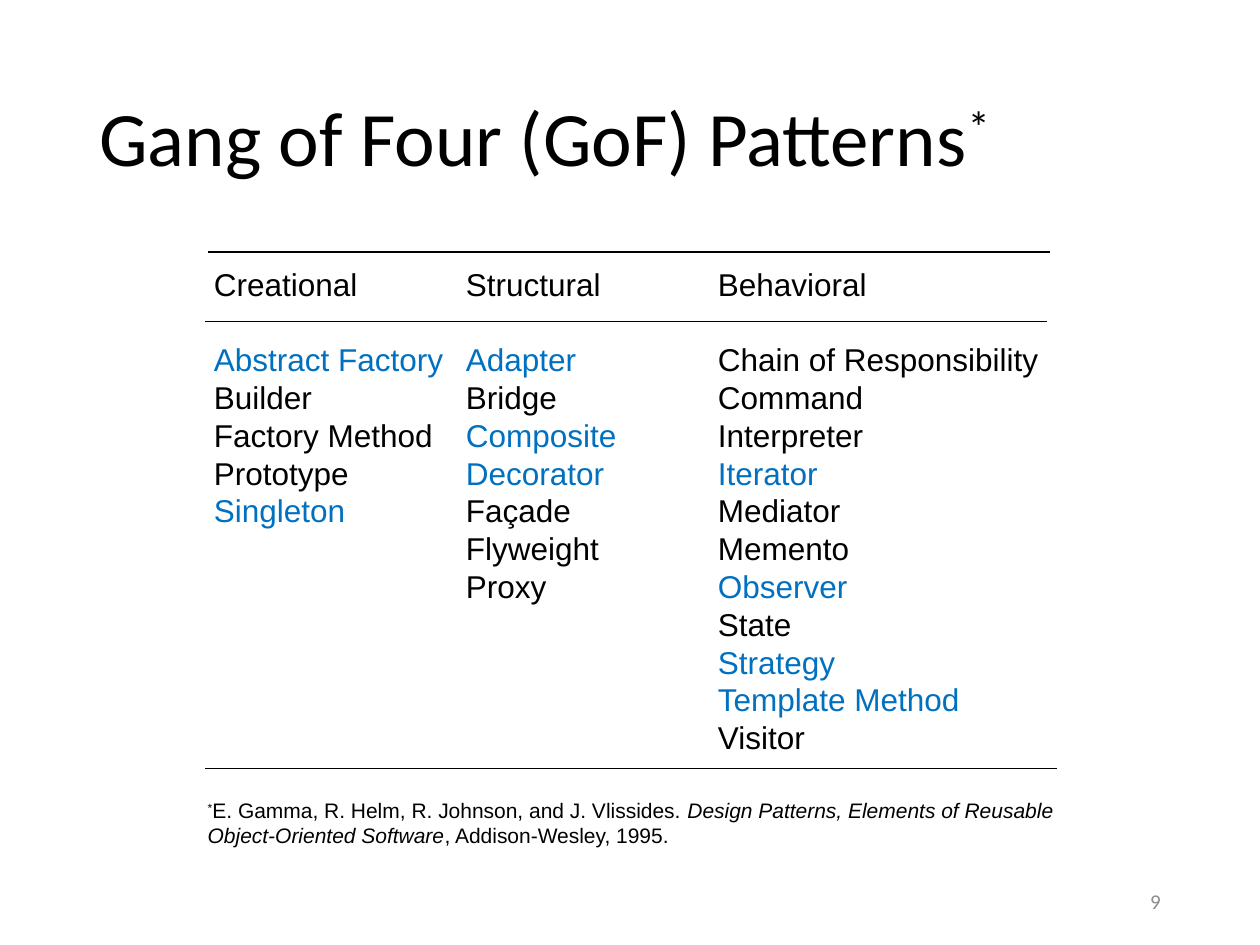
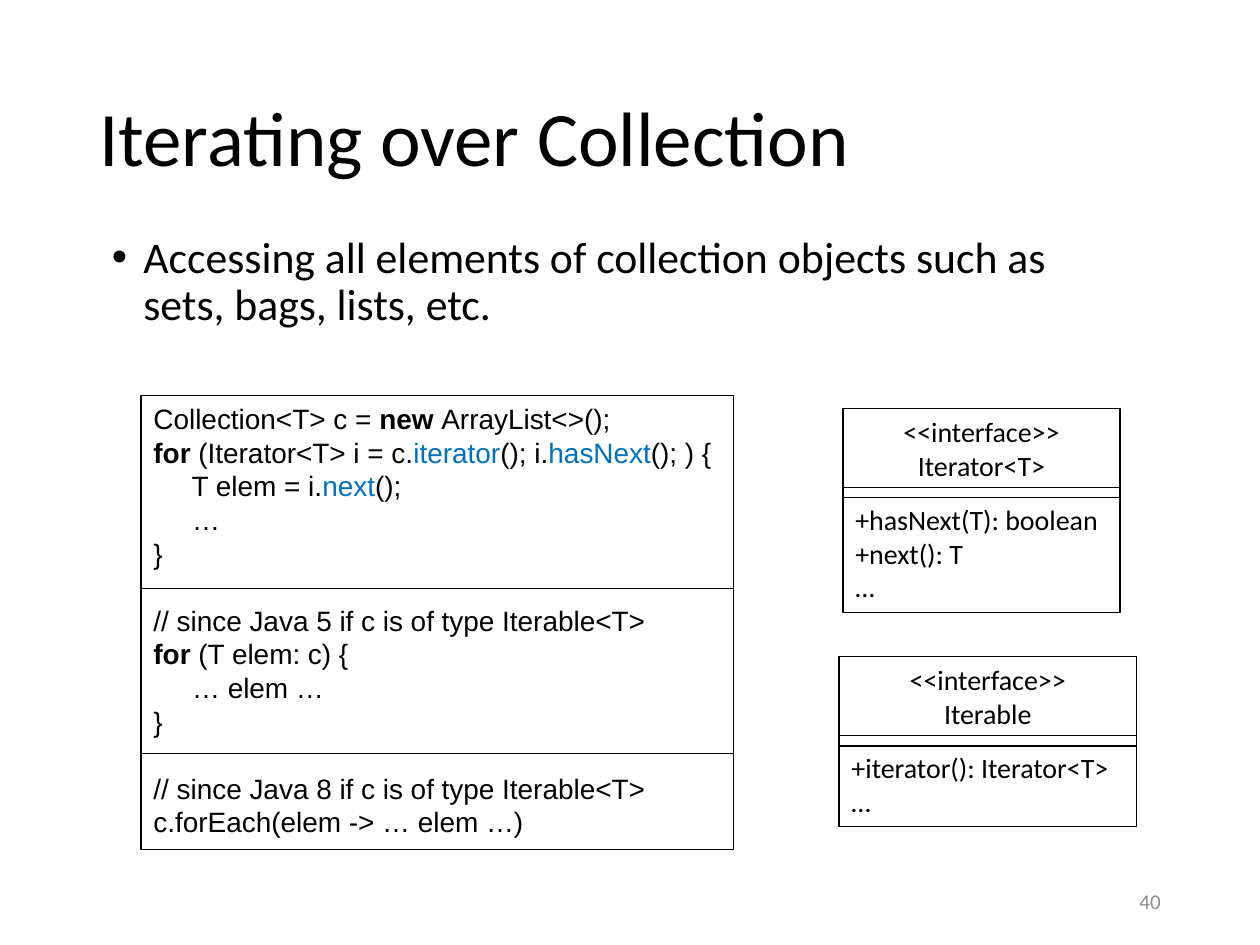
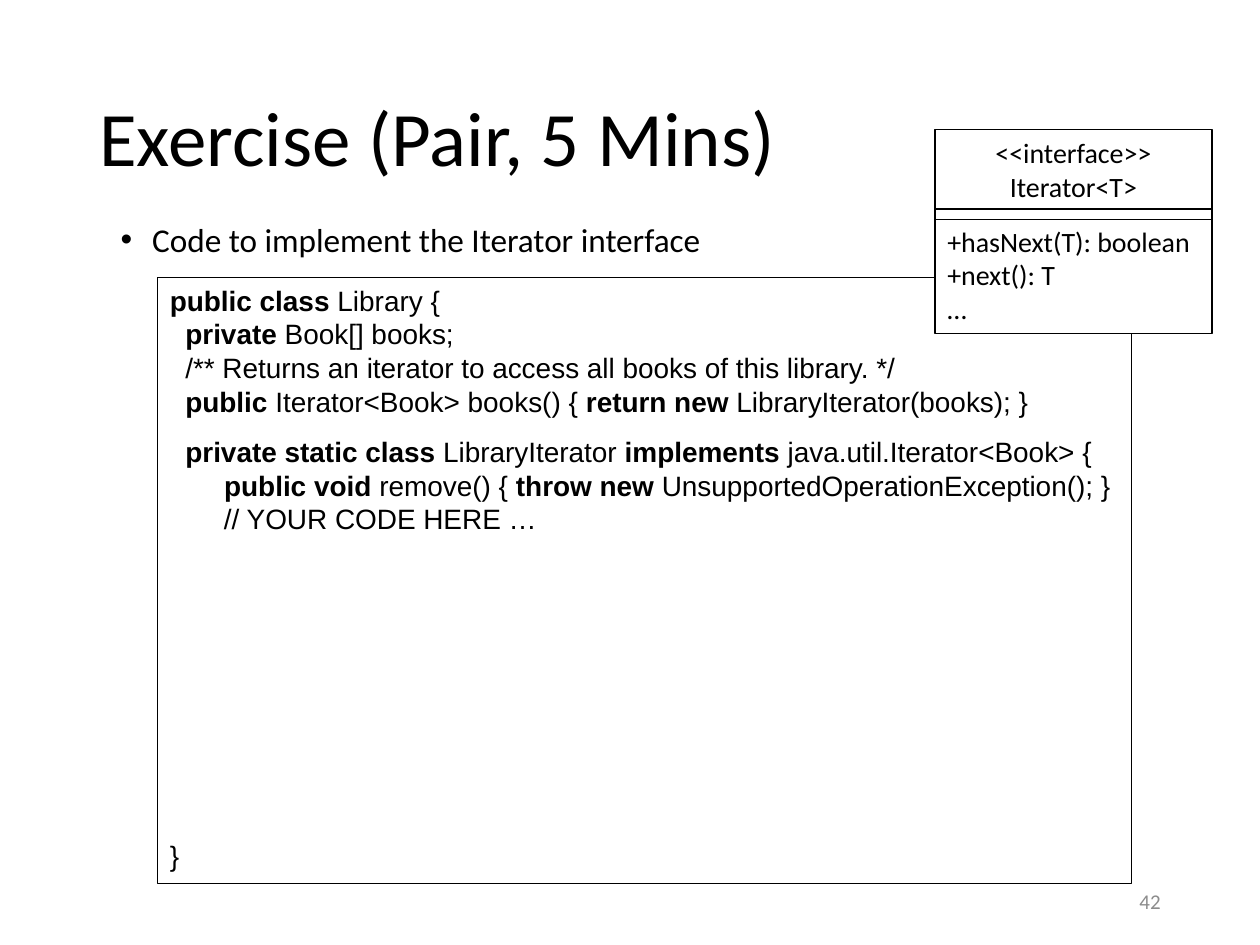
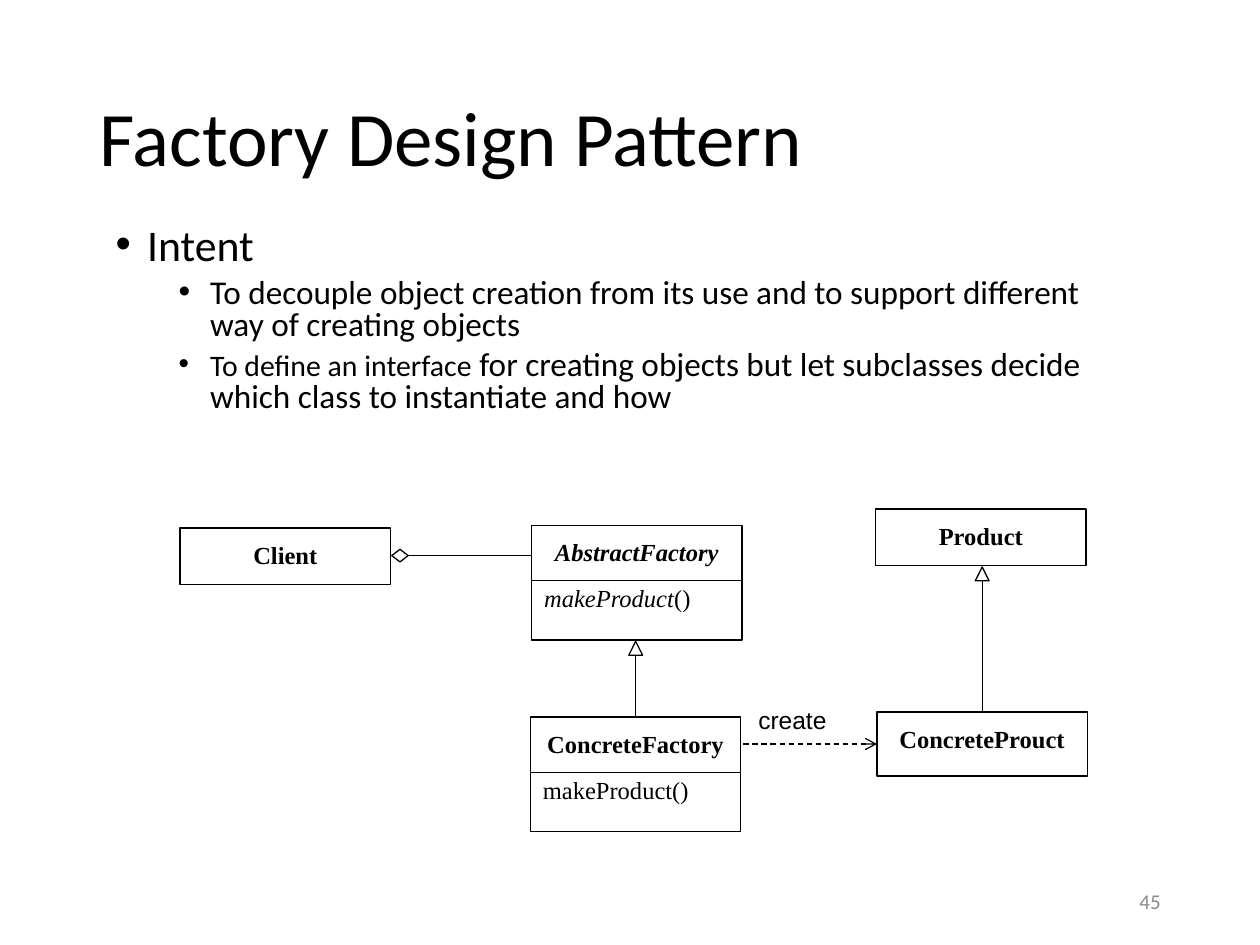
from dataclasses import dataclass

from lxml.etree import SubElement
from pptx import Presentation
from pptx.dml.color import RGBColor
from pptx.enum.dml import MSO_LINE
from pptx.enum.shapes import MSO_CONNECTOR, MSO_SHAPE
from pptx.enum.text import MSO_ANCHOR as Anchor, PP_ALIGN as Align
from pptx.oxml.ns import qn
from pptx.util import Inches, Pt

# The slide is a grid of 100 columns by 75 rows; every length below counts cells.
COLUMNS, ROWS = 100, 75
CELL = Inches(0.1)

BLACK, WHITE, BLUE, GREY = "000000", "FFFFFF", "0070C0", "8C8C8C"
HEADING, CODE, DIAGRAM = "Calibri", "Arial", "Times New Roman"
TOP, LEFT = 0, 1


@dataclass
class Span:
    """A stretch of text that differs from the rest of its paragraph."""
    text: str
    bold: bool = False
    italic: bool = False
    color: str = ""
    size: float = 0
    raised: bool = False


@dataclass
class Line:
    """One paragraph: strings and Spans, with its own layout."""
    spans: list
    size: float = 16
    font: str = CODE
    color: str = BLACK
    align: Align = Align.LEFT
    before: float = 0
    spacing: float = 0
    indent: float = 0
    tabs: tuple = ()


def bold(text):
    return Span(text, bold=True)


def blue(text):
    return Span(text, color=BLUE)


def cells(count):
    return round(count * CELL)


def rgb(color):
    return RGBColor.from_string(color)


def add_bullet(properties, indent):
    properties.set("marL", str(cells(indent)))
    properties.set("indent", str(-cells(2.5)))
    SubElement(properties, qn("a:buFont"), typeface="Arial")
    SubElement(properties, qn("a:buChar"), char="•")


def add_tabs(properties, stops):
    tab_list = SubElement(properties, qn("a:tabLst"))
    for stop in stops:
        SubElement(tab_list, qn("a:tab"), pos=str(cells(stop)), algn="l")


def add_span(paragraph, content):
    span = content if isinstance(content, Span) else Span(content)
    run = paragraph.add_run()
    run.text = span.text
    if span.bold:
        run.font.bold = True
    if span.italic:
        run.font.italic = True
    if span.color:
        run.font.color.rgb = rgb(span.color)
    if span.size:
        run.font.size = Pt(span.size)
    if span.raised:
        run._r.get_or_add_rPr().set("baseline", "30000")


def write(shape, lines, anchor=Anchor.TOP):
    frame = shape.text_frame
    frame.word_wrap = True
    frame.vertical_anchor = anchor
    for index, line in enumerate(lines):
        paragraph = frame.add_paragraph() if index else frame.paragraphs[0]
        if line.indent:
            add_bullet(paragraph._p.get_or_add_pPr(), line.indent)
        if line.tabs:
            add_tabs(paragraph._p.get_or_add_pPr(), line.tabs)
        paragraph.alignment = line.align
        if line.before:
            paragraph.space_before = Pt(line.before)
        if line.spacing:
            paragraph.line_spacing = line.spacing
        paragraph.font.name = line.font
        paragraph.font.size = Pt(line.size)
        paragraph.font.color.rgb = rgb(line.color)
        for content in line.spans:
            add_span(paragraph, content)


def add_text(shapes, left, top, width, height, lines, anchor=Anchor.TOP):
    write(shapes.add_textbox(*map(cells, (left, top, width, height))), lines, anchor)


def add_outline(shapes, left, top, width, height, kind=MSO_SHAPE.RECTANGLE, fill=None):
    outline = shapes.add_shape(kind, *map(cells, (left, top, width, height)))
    outline.shadow.inherit = False
    if fill:
        outline.fill.solid()
        outline.fill.fore_color.rgb = rgb(fill)
    else:
        outline.fill.background()
    outline.line.color.rgb = rgb(BLACK)
    outline.line.width = Pt(0.75)
    return outline


def add_rule(shapes, x1, y1, x2, y2, weight=0.75):
    rule = shapes.add_connector(MSO_CONNECTOR.STRAIGHT, *map(cells, (x1, y1, x2, y2)))
    rule.line.color.rgb = rgb(BLACK)
    rule.line.width = Pt(weight)
    SubElement(rule._element.spPr, qn("a:effectLst"))
    return rule


def start_slide(deck, title, number):
    shapes = deck.slides.add_slide(deck.slide_layouts[6]).shapes
    add_text(shapes, 6.9, 4, 86.2, 14.5,
             [Line(title, size=44, font=HEADING, spacing=0.9)], Anchor.MIDDLE)
    add_text(shapes, 70.6, 69.5, 22.5, 4,
             [Line([str(number)], size=12, font=HEADING, color=GREY, align=Align.RIGHT)],
             Anchor.MIDDLE)
    return shapes


def add_interface(shapes, left, top, width, height, name, operations):
    group = shapes.add_group_shape().shapes
    box = add_outline(group, left, top, width, height, fill=WHITE)
    heading = [Line([text], font=HEADING, align=Align.CENTER)
               for text in ("<<interface>>", name)]
    members = [Line([text], font=HEADING, before=0 if index else 12)
               for index, text in enumerate([*operations, "…"])]
    write(box, heading + members)
    for offset in (6.3, 7.1):
        add_rule(group, left, top + offset, left + width, top + offset)


def add_iterator_interface(shapes, left, top):
    add_interface(shapes, left, top, 22, 16.2, "Iterator<T>",
                  ["+hasNext(T): boolean", "+next(): T"])


def add_class(shapes, left, top, height, name, operation=None):
    """Class box; with an operation it gets a second compartment."""
    width = 16.7
    box = add_outline(shapes, left, top, width, height)
    lines = [Line([name], size=14, font=DIAGRAM, align=Align.CENTER)]
    if operation:
        lines.append(Line(operation, size=14, font=DIAGRAM, before=9.5))
        add_rule(shapes, left, top + 4.4, left + width, top + 4.4)
    write(box, lines)
    box.text_frame.margin_top = cells(0.95)
    box.text_frame.margin_left = box.text_frame.margin_right = cells(1)
    return box


def add_inheritance(shapes, child, x, parent_bottom, child_top):
    head = 1.1
    add_outline(shapes, x - head / 2, parent_bottom, head, head, MSO_SHAPE.ISOSCELES_TRIANGLE)
    stem = add_rule(shapes, x, parent_bottom + head, x, child_top)
    stem.end_connect(child, TOP)


def patterns_slide(deck):
    shapes = start_slide(deck, ["Gang of Four (GoF) Patterns", Span("*", raised=True)], 9)
    creational = [blue("Abstract Factory"), "Builder", "Factory Method", "Prototype",
                  blue("Singleton")]
    structural = [blue("Adapter"), "Bridge", blue("Composite"), blue("Decorator"),
                  "Façade", "Flyweight", "Proxy"]
    behavioral = ["Chain of Responsibility", "Command", "Interpreter", blue("Iterator"),
                  "Mediator", "Memento", blue("Observer"), "State", blue("Strategy"),
                  blue("Template Method"), "Visitor"]
    stops = (20, 40)
    lines = [Line(["Creational\tStructural\tBehavioral"], size=18, tabs=stops)]
    for row, behavior in enumerate(behavioral):
        entries = []
        for column in (creational, structural):
            entries += [*column[row:row + 1], "\t"]
        lines.append(Line([*entries, behavior], size=18, tabs=stops,
                          before=0 if row else 21.6))
    add_text(shapes, 16, 20.5, 67.6, 40.1, lines)
    for left, y, right in ((16.5, 20, 83.3), (16.3, 25.5, 83.1), (16.3, 61, 83.9)):
        add_rule(shapes, left, y, right, y)
    add_text(shapes, 15.5, 62.8, 69.7, 5, [
        Line([Span("*", raised=True), "E. Gamma, R. Helm, R. Johnson, and J. Vlissides. ",
              Span("Design Patterns, Elements of Reusable", italic=True)], size=12),
        Line([Span("Object-Oriented Software", italic=True), ", Addison-Wesley, 1995."],
             size=12)])


def iterating_slide(deck):
    shapes = start_slide(deck, ["Iterating over Collection"], 40)
    left, top, width, height = 11.2, 31.4, 47, 36
    blank = 19.2
    write(add_outline(shapes, left, top, width, height), [
        Line(["Collection<T> c = ", bold("new "), "ArrayList<>();"]),
        Line([bold("for "), "(Iterator<T> i = c.", blue("iterator"), "(); i.",
              blue("hasNext"), "(); ) {"]),
        Line(["     T elem = i.", blue("next"), "();"]),
        Line(["     …"]),
        Line(["}"]),
        Line(["// since Java 5 if c is of type Iterable<T>"], before=blank),
        Line([bold("for"), " (T elem: c) {"]),
        Line(["     … elem …"]),
        Line(["}"]),
        Line(["// since Java 8 if c is of type Iterable<T>"], before=blank),
        Line(["c.forEach(elem -> … elem …)"])])
    add_text(shapes, 7.9, 18.2, 79.7, 9.3, [
        Line(["Accessing all elements of collection objects such as sets, bags, lists, etc."],
             size=25, font=HEADING, spacing=0.9, indent=2.5)])
    for y in (46.7, 59.8):
        add_rule(shapes, left, y, left + width, y, weight=0.5)
    add_iterator_interface(shapes, 66.9, 32.4)
    add_interface(shapes, 66.6, 52.1, 23.6, 13.5, "Iterable", ["+iterator(): Iterator<T>"])


def exercise_slide(deck):
    shapes = start_slide(deck, ["Exercise (Pair, 5 Mins)"], 42)
    add_text(shapes, 8.6, 17.5, 79.8, 3.8, [
        Line(["Code to implement the Iterator interface"],
             size=19, font=HEADING, spacing=0.8, indent=2.5)])
    write(add_outline(shapes, 12.5, 22, 77.3, 48.1), [
        Line([bold("public class"), " Library {"]),
        Line(["  ", bold("private"), " Book[] books;"]),
        Line(["  /** Returns an iterator to access all books of this library. */"]),
        Line(["  ", bold("public"), " Iterator<Book> books() { ", bold("return new "),
              "LibraryIterator(books); }"]),
        Line(["  ", bold("private static class "), "LibraryIterator ", bold("implements "),
              "java.util.Iterator<Book> {"], before=9.6),
        Line(["       ", bold("public void"), " remove() { ", bold("throw new "),
              "UnsupportedOperationException(); }"]),
        Line(["       // YOUR CODE HERE …"]),
        Line(["}"], before=173)])
    add_iterator_interface(shapes, 74.2, 10.3)


def factory_slide(deck):
    shapes = start_slide(deck, ["Factory Design Pattern"], 45)
    goals = [
        ["To decouple object creation from its use and to support different way of "
         "creating objects"],
        [Span("To define an interface", size=17),
         " for creating objects but let subclasses decide which class to instantiate and how"]]
    add_text(shapes, 8.2, 17.6, 79.7, 16.5, [
        Line(["Intent"], size=25, font=HEADING, spacing=0.8, indent=2.5),
        *(Line(goal, size=19, font=HEADING, spacing=0.8, before=5, indent=7.5)
          for goal in goals)])

    add_class(shapes, 14.3, 41.9, 4.5, bold("Client"))
    add_class(shapes, 42.2, 41.7, 9.1, Span("AbstractFactory", bold=True, italic=True),
              [Span("makeProduct", italic=True), "()"])
    concrete_factory = add_class(shapes, 42.1, 56.9, 9.1, bold("ConcreteFactory"),
                                 ["makeProduct()"])
    add_class(shapes, 69.5, 40.4, 4.5, bold("Product"))
    concrete_product = add_class(shapes, 69.6, 56.5, 5.1, bold("ConcreteProuct"))

    add_inheritance(shapes, concrete_factory, 50.45, 50.9, 56.9)
    add_inheritance(shapes, concrete_product, 77.95, 45, 56.5)
    add_outline(shapes, 31.1, 43.6, 1.3, 1, MSO_SHAPE.DIAMOND)
    add_rule(shapes, 32.4, 44.1, 42.2, 44.1)

    creation = add_rule(shapes, 59, 59.05, 69.6, 59.05)
    creation.end_connect(concrete_product, LEFT)
    creation.line.dash_style = MSO_LINE.DASH
    SubElement(creation.line._get_or_add_ln(), qn("a:tailEnd"), type="arrow")
    add_text(shapes, 59.2, 55.5, 8, 3.3, [Line(["create"], size=14)])


def main():
    deck = Presentation()
    deck.slide_width, deck.slide_height = cells(COLUMNS), cells(ROWS)
    for build in (patterns_slide, iterating_slide, exercise_slide, factory_slide):
        build(deck)
    deck.save("out.pptx")


if __name__ == "__main__":
    main()
